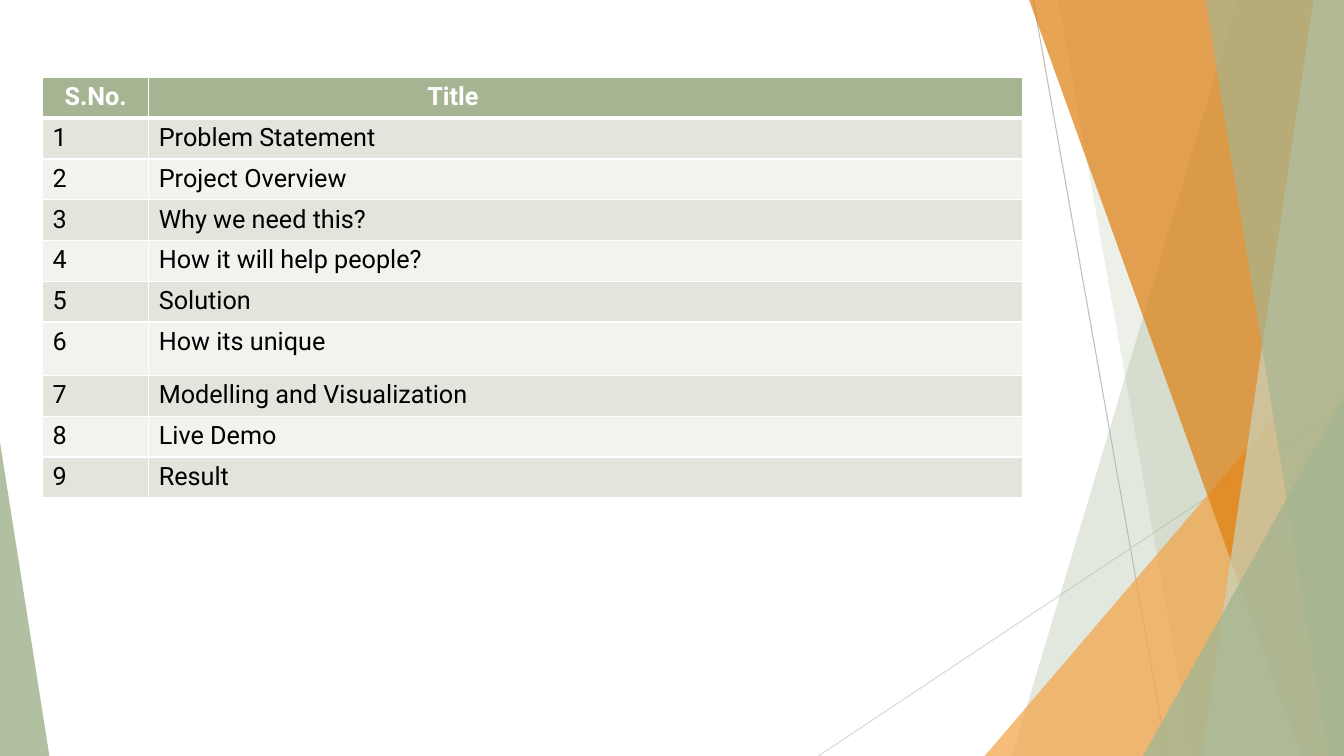
from lxml.etree import SubElement
from pptx import Presentation
from pptx.dml.color import RGBColor
from pptx.enum.shapes import MSO_CONNECTOR as CONN, MSO_SHAPE as SHAPE
from pptx.enum.text import PP_ALIGN as ALIGN
from pptx.oxml.ns import qn
from pptx.util import Pt

W, H = 960, 540
GREEN, PALE_GREEN = "A5B592", "C9D3BE"
ORANGE, DARK_ORANGE = "F3A447", "DD7E0E"
BANDS = ["F0F3EE", "E1E5DC"]
TITLES = [
    "Problem Statement", "Project Overview", "Why we need this?",
    "How it will help people?", "Solution", "How its unique",
    "Modelling and Visualization", "Live Demo", "Result",
]


def rgb(value):
    return RGBColor.from_string(value)


class Deck:
    font, size = "Roboto", 18

    def __init__(self):
        self.prs = Presentation()
        self.prs.slide_width, self.prs.slide_height = Pt(W), Pt(H)
        self.s = self.prs.slides.add_slide(self.prs.slide_layouts[6])

    def paint(self, sp, color, opacity):
        sp.shadow.inherit = False
        sp.line.fill.background()
        sp.fill.solid()
        sp.fill.fore_color.rgb = rgb(color)
        clr = sp.fill._xPr.find(qn("a:solidFill"))[0]
        SubElement(clr, qn("a:alpha"), val=str(opacity * 1000))

    def line(self, x1, y1, x2, y2, color):
        cx = self.s.shapes.add_connector(
            CONN.STRAIGHT, Pt(x1), Pt(y1), Pt(x2), Pt(y2))
        cx.line.color.rgb = rgb(color)
        cx.line.width = Pt(0.75)
        SubElement(cx._element.spPr, qn("a:effectLst"))

    def wedge(self, top_x, bottom_x, color, opacity):
        fb = self.s.shapes.build_freeform(Pt(top_x), 0)
        fb.add_line_segments(
            [(Pt(W), 0), (Pt(W), Pt(H)), (Pt(bottom_x), Pt(H))])
        self.paint(fb.convert_to_shape(), color, opacity)

    def triangle(self, x, y, w, apex, color, opacity):
        sp = self.s.shapes.add_shape(
            SHAPE.ISOSCELES_TRIANGLE, Pt(x), Pt(y), Pt(w), Pt(H - y))
        sp.adjustments[0] = apex
        self.paint(sp, color, opacity)

    def cell(self, cell, text, fill, color, bold, top, bottom):
        tcPr = cell._tc.get_or_add_tcPr()
        for side, width in zip("LRTB", (1, 1, top, bottom)):
            ln = SubElement(tcPr, qn(f"a:ln{side}"), w=str(Pt(width)))
            solid = SubElement(ln, qn("a:solidFill"))
            SubElement(solid, qn("a:srgbClr"), val="FFFFFF")
        cell.fill.solid()
        cell.fill.fore_color.rgb = rgb(fill)
        p = cell.text_frame.paragraphs[0]
        p.text = text
        p.font.name, p.font.size = self.font, Pt(self.size)
        p.font.bold = bold
        p.font.color.rgb = rgb(color)

    def table(self, x, y, widths, heights, rows):
        tbl = self.s.shapes.add_table(
            len(rows), len(widths), Pt(x), Pt(y),
            Pt(sum(widths)), Pt(sum(heights))).table
        for col, w in zip(tbl.columns, widths):
            col.width = Pt(w)
        for i, (row, h) in enumerate(zip(rows, heights)):
            tbl.rows[i].height = Pt(h)
            head = i == 0
            for j, text in enumerate(row):
                self.cell(
                    tbl.cell(i, j), text,
                    GREEN if head else BANDS[i % 2],
                    "FFFFFF" if head else "000000", head,
                    3 if i == 1 else 1, 3 if head else 1)
        return tbl


def main():
    d = Deck()
    d.line(738, 0, 833.8, H, "BFBFBF")
    d.line(W, 290.2, 584.6, H, "D9D9D9")
    d.wedge(884.2, 722.9, GREEN, 30)
    d.wedge(756, 851.8, GREEN, 20)
    d.triangle(703.4, 239.8, 256.6, 1, ORANGE, 72)
    d.wedge(735.1, 929.5, DARK_ORANGE, 70)
    d.wedge(938.2, 858.2, PALE_GREEN, 70)
    d.wedge(861.1, 949, GREEN, 65)
    d.triangle(816.5, 283, 143.5, 1, GREEN, 80)
    d.triangle(0, 316.1, 35.3, 0, GREEN, 85)

    rows = [("S.No.", "Title")]
    rows += [(str(n), title) for n, title in enumerate(TITLES, 1)]
    heights = [38.2 if n == 6 else 29.12 for n in range(len(rows))]
    tbl = d.table(30.4, 55.4, [75.9, 624], heights, rows)
    tbl.cell(0, 0).text_frame.paragraphs[0].alignment = ALIGN.CENTER
    tbl.cell(0, 1).margin_left = Pt(199)

    d.prs.save("out.pptx")


if __name__ == "__main__":
    main()
